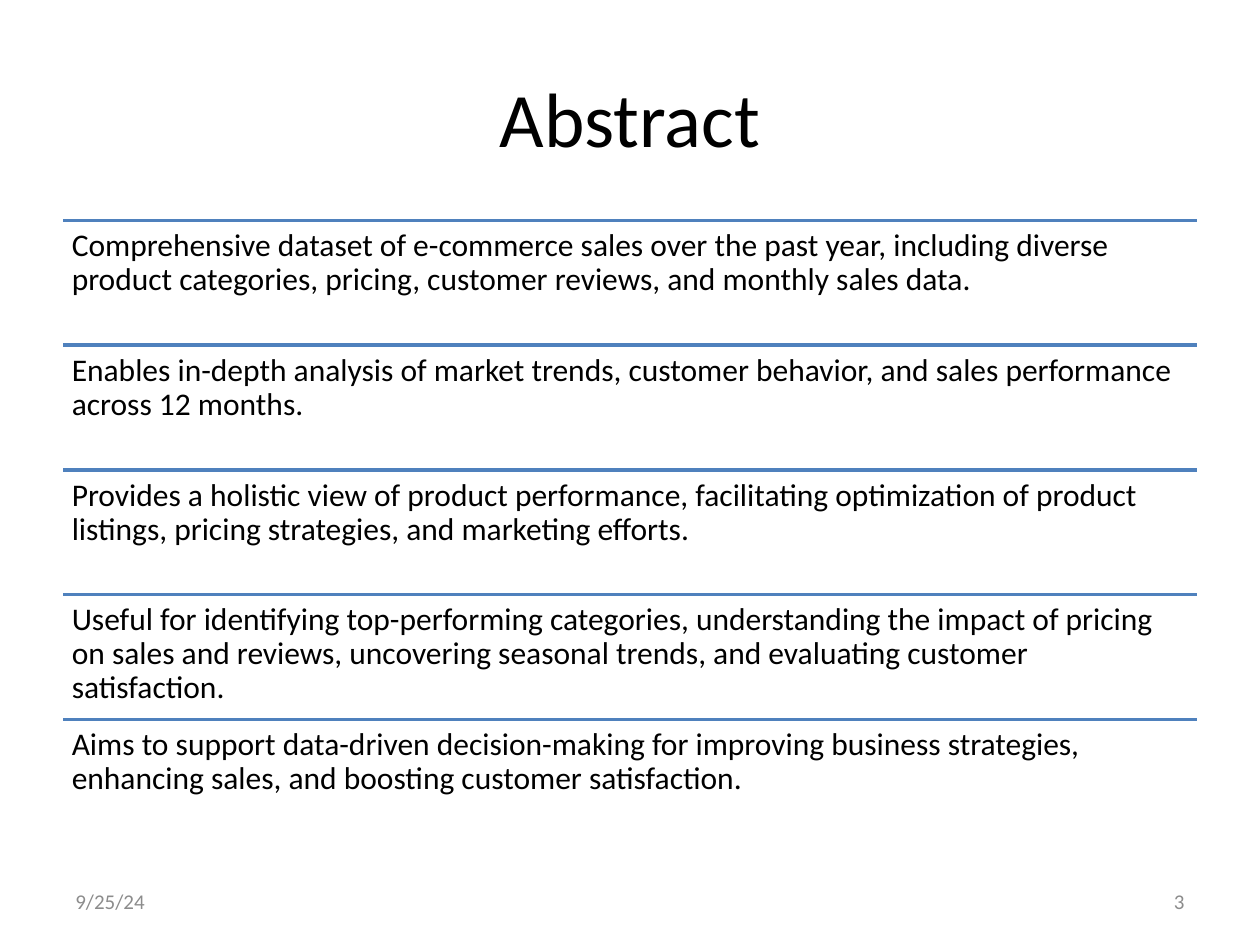
from dataclasses import dataclass

from lxml.etree import SubElement
from pptx import Presentation
from pptx.dml.color import RGBColor
from pptx.enum.shapes import MSO_CONNECTOR
from pptx.enum.text import MSO_ANCHOR, PP_ALIGN
from pptx.oxml.ns import qn
from pptx.util import Inches, Pt


@dataclass(frozen=True)
class Theme:
    font: str = "Calibri"
    ink: RGBColor = RGBColor(0x00, 0x00, 0x00)
    muted: RGBColor = RGBColor(0x8C, 0x8C, 0x8C)
    accent: RGBColor = RGBColor(0x4F, 0x81, 0xBD)
    title_size: int = 44
    body_size: int = 18
    footer_size: int = 12
    rule_width: int = 2


@dataclass(frozen=True)
class Box:
    left: float
    top: float
    width: float
    height: float

    def row(self, index, count):
        height = self.height / count
        return Box(self.left, self.top + index * height, self.width, height)


THEME = Theme()
SLIDE_WIDTH, SLIDE_HEIGHT = 10, 7.5
MARGIN = SLIDE_WIDTH * 0.05
CONTENT_WIDTH = SLIDE_WIDTH - 2 * MARGIN

STATEMENTS = [
    "Comprehensive dataset of e-commerce sales over the past year, including diverse "
    "product categories, pricing, customer reviews, and monthly sales data.",
    "Enables in-depth analysis of market trends, customer behavior, and sales "
    "performance across 12 months.",
    "Provides a holistic view of product performance, facilitating optimization of "
    "product listings, pricing strategies, and marketing efforts.",
    "Useful for identifying top-performing categories, understanding the impact of "
    "pricing on sales and reviews, uncovering seasonal trends, and evaluating "
    "customer satisfaction.",
    "Aims to support data-driven decision-making for improving business strategies, "
    "enhancing sales, and boosting customer satisfaction.",
]


def add_text(slide, box, text, size, color, align=PP_ALIGN.LEFT, anchor=MSO_ANCHOR.MIDDLE):
    shape = slide.shapes.add_textbox(
        Inches(box.left), Inches(box.top), Inches(box.width), Inches(box.height))
    frame = shape.text_frame
    frame.word_wrap = True
    frame.vertical_anchor = anchor
    paragraph = frame.paragraphs[0]
    paragraph.alignment = align
    run = paragraph.add_run()
    run.text = text
    run.font.name = THEME.font
    run.font.size = Pt(size)
    run.font.color.rgb = color
    return frame


def add_rule(slide, box):
    """Draw a line along the top edge of the box."""
    rule = slide.shapes.add_connector(
        MSO_CONNECTOR.STRAIGHT, Inches(box.left), Inches(box.top),
        Inches(box.left + box.width), Inches(box.top))
    rule.line.color.rgb = THEME.accent
    rule.line.width = Pt(THEME.rule_width)
    SubElement(rule._element.spPr, qn("a:effectLst"))


def add_title(slide, box):
    add_text(slide, box, "Abstract", THEME.title_size, THEME.ink, PP_ALIGN.CENTER)


def add_statements(slide, box):
    for index, statement in enumerate(STATEMENTS):
        row = box.row(index, len(STATEMENTS))
        add_rule(slide, row)
        frame = add_text(slide, row, statement, THEME.body_size, THEME.ink,
                         anchor=MSO_ANCHOR.TOP)
        frame.margin_left = frame.margin_right = Inches(0.07)
        frame.margin_top = frame.margin_bottom = Inches(0.07)
        frame.paragraphs[0].line_spacing = 0.9


def add_footer(slide, box):
    width = 2.33
    right = Box(box.left + box.width - width, box.top, width, box.height)
    left = Box(box.left, box.top, width, box.height)
    add_text(slide, left, "9/25/24", THEME.footer_size, THEME.muted)
    add_text(slide, right, "3", THEME.footer_size, THEME.muted, PP_ALIGN.RIGHT)


def main():
    presentation = Presentation()
    presentation.slide_width = Inches(SLIDE_WIDTH)
    presentation.slide_height = Inches(SLIDE_HEIGHT)
    slide = presentation.slides.add_slide(presentation.slide_layouts[6])

    # Heading, ruled list of statements, date and page number
    add_title(slide, Box(MARGIN, SLIDE_HEIGHT * 0.04, CONTENT_WIDTH, 1.25))
    add_statements(slide, Box(MARGIN, 1.75, CONTENT_WIDTH, SLIDE_HEIGHT * 0.66))
    add_footer(slide, Box(MARGIN, 6.95, CONTENT_WIDTH, 0.4))

    presentation.save("out.pptx")


if __name__ == "__main__":
    main()
